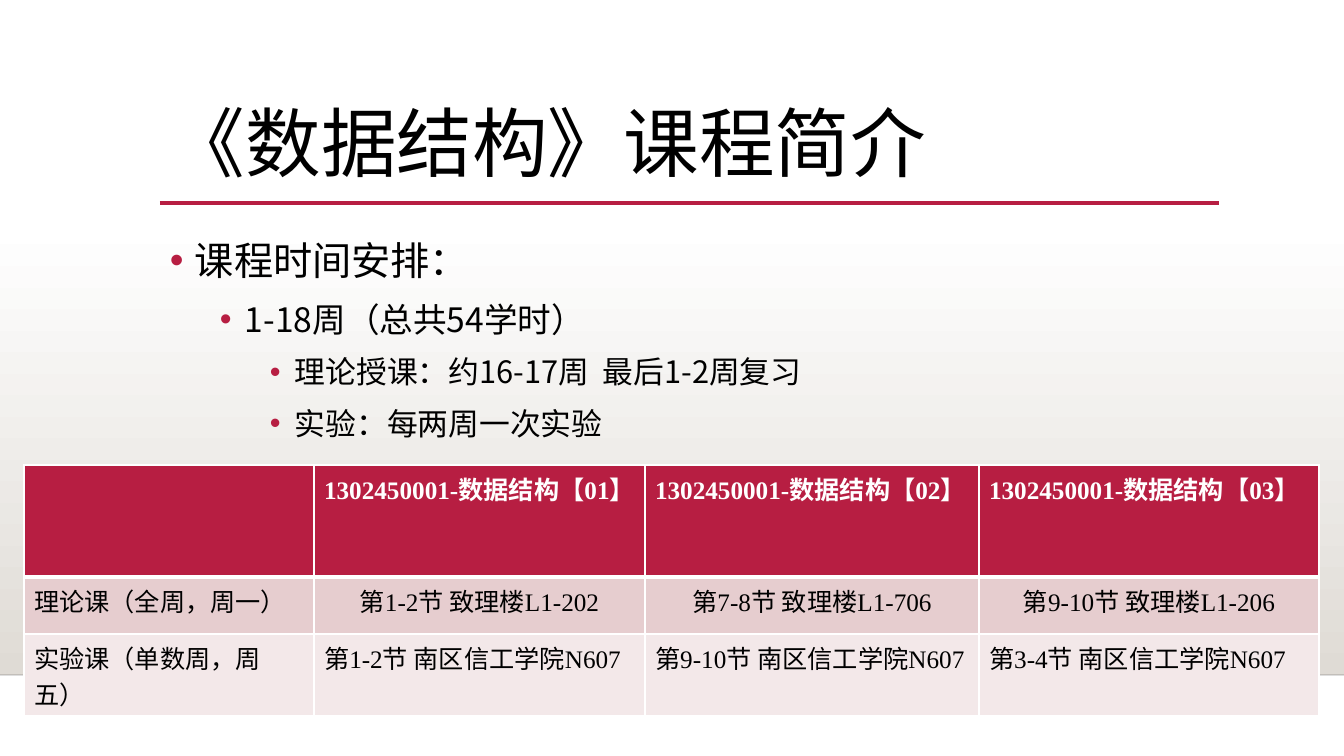
from lxml import etree
from pptx import Presentation
from pptx.dml.color import RGBColor
from pptx.enum.shapes import MSO_CONNECTOR, MSO_SHAPE
from pptx.enum.text import MSO_ANCHOR, PP_ALIGN
from pptx.oxml.ns import qn
from pptx.util import Pt

PX = 914400 / 100.8
STRAIGHT = MSO_CONNECTOR.STRAIGHT
RECT = MSO_SHAPE.RECTANGLE
MIDDLE, TOP = MSO_ANCHOR.MIDDLE, MSO_ANCHOR.TOP
LEFT, CENTER = PP_ALIGN.LEFT, PP_ALIGN.CENTER
ACCENT, BLACK, WHITE = "B71E42", "000000", "FFFFFF"
CABIN, NOTO, TIMES = "Cabin", "Noto Sans CJK SC", "Times New Roman"

SCHEDULE = [
    ["", "1302450001-数据结构【01】", "1302450001-数据结构【02】", "1302450001-数据结构【03】"],
    ["理论课（全周，周一）", "第1-2节 致理楼L1-202", "第7-8节 致理楼L1-706", "第9-10节 致理楼L1-206"],
    ["实验课（单数周，周五）", "第1-2节 南区信工学院N607", "第9-10节 南区信工学院N607",
     "第3-4节 南区信工学院N607"],
]
OUTLINE = [
    (0, 28, "课程时间安排："),
    (1, 24, "1-18周（总共54学时）"),
    (2, 22, "理论授课：约16-17周  最后1-2周复习"),
    (2, 22, "实验：每两周一次实验"),
]


def px(n):
    """Turn px into EMU."""
    return round(n * PX)


def rgb(color):
    """Turn a hex string into a colour."""
    return RGBColor.from_string(color)


def sub(parent, tag, **attrs):
    """Append a DrawingML child element."""
    return etree.SubElement(parent, qn(tag), attrs)


def add_run(p, text, size, font, color=BLACK, bold=False):
    """Add one formatted run to a paragraph."""
    r = p.add_run()
    r.text = text
    r.font.size = Pt(size)
    r.font.name = font
    r.font.bold = bold
    r.font.color.rgb = rgb(color)
    sub(r.font._element, "a:ea", typeface=NOTO)


def add_rule(s, x, y, w, color, width):
    """Draw a horizontal line and return it."""
    line = s.shapes.add_connector(STRAIGHT, px(x), px(y), px(x + w), px(y))
    line.line.color.rgb = rgb(color)
    line.line.width = Pt(width)
    sub(line._element.spPr, "a:effectLst")
    return line


def add_frame(s, x, y, w, h, anchor):
    """Add a wrapping text box and return its text frame."""
    tf = s.shapes.add_textbox(px(x), px(y), px(w), px(h)).text_frame
    tf.word_wrap = True
    tf.vertical_anchor = anchor
    return tf


def add_backdrop(s, x, y, w, h):
    """Draw the shaded band and the faint line at its foot."""
    sp = s.shapes.add_shape(RECT, px(x), px(y), px(w), px(h))
    sp.shadow.inherit = False
    sp.line.fill.background()
    sp.fill.gradient()
    sp.fill.gradient_angle = 270
    for stop, color, position in zip(sp.fill.gradient_stops, (WHITE, "DFDBD5"), (0, 1)):
        stop.color.rgb = rgb(color)
        stop.position = position
    line = add_rule(s, x, y + h, w, "000001", 1)
    for clr in line._element.spPr.iter(qn("a:srgbClr")):
        sub(clr, "a:alpha", val="20000")


def add_title(s, x, y, w, h):
    """Place the title with the accent rule under it."""
    add_rule(s, x, y + h - 1, w, ACCENT, 2.5)
    p = add_frame(s, x, y, w, h, MIDDLE).paragraphs[0]
    p.line_spacing = 0.9
    add_run(p, "《数据结构》课程简介", 54, CABIN)


def add_outline(s, x, y, w, h):
    """Place the bulleted outline."""
    tf = add_frame(s, x, y, w, h, TOP)
    for i, (level, size, text) in enumerate(OUTLINE):
        p = tf.add_paragraph() if i else tf.paragraphs[0]
        p.level = level
        p.line_spacing = 1.2
        if i:
            p.space_before = Pt(5)
        pPr = p._p.get_or_add_pPr()
        pPr.set("marL", str(px(25 + 50 * level)))
        pPr.set("indent", str(px(-25)))
        sub(sub(pPr, "a:buClr"), "a:srgbClr", val=ACCENT)
        sub(pPr, "a:buFont", typeface="Arial")
        sub(pPr, "a:buChar", char="•")
        add_run(p, text, size, NOTO)


def set_borders(cell, bottom):
    """Give a cell white borders, with its own bottom width."""
    tcPr = cell._tc.get_or_add_tcPr()
    for i, (side, width) in enumerate((("L", 1), ("R", 1), ("T", 1), ("B", bottom))):
        ln = tcPr.makeelement(qn("a:ln" + side), {"w": str(Pt(width))})
        sub(sub(ln, "a:solidFill"), "a:srgbClr", val=WHITE)
        tcPr.insert(i, ln)


def add_schedule(s, x, y, widths, heights):
    """Place the timetable."""
    table = s.shapes.add_table(len(heights), len(widths), px(x), px(y),
                               px(sum(widths)), px(sum(heights))).table
    for column, width in zip(table.columns, widths):
        column.width = px(width)
    for row, height in zip(table.rows, heights):
        row.height = px(height)
    for i, texts in enumerate(SCHEDULE):
        header = i == 0
        for j, text in enumerate(texts):
            cell = table.cell(i, j)
            cell.fill.solid()
            cell.fill.fore_color.rgb = rgb((ACCENT, "E6CDCF", "F3E8E9")[i])
            set_borders(cell, 3 if header else 1)
            if text:
                p = cell.text_frame.paragraphs[0]
                p.alignment = CENTER if i == 1 and j else LEFT
                add_run(p, text, 18, TIMES if j else CABIN, WHITE if header else BLACK, header)


def build_course_slide(prs):
    """Build the course introduction slide."""
    s = prs.slides.add_slide(prs.slide_layouts[6])
    add_backdrop(s, 0, 223, 1344, 452)
    add_title(s, 160, 89, 1059, 115)
    add_outline(s, 160, 222, 1059, 446)
    add_schedule(s, 24, 465, (290, 331, 334, 340), (112, 57, 82))


def main():
    """Create and save the presentation."""
    prs = Presentation()
    prs.slide_width, prs.slide_height = px(1344), px(756)
    build_course_slide(prs)
    prs.save("out.pptx")


if __name__ == "__main__":
    main()
